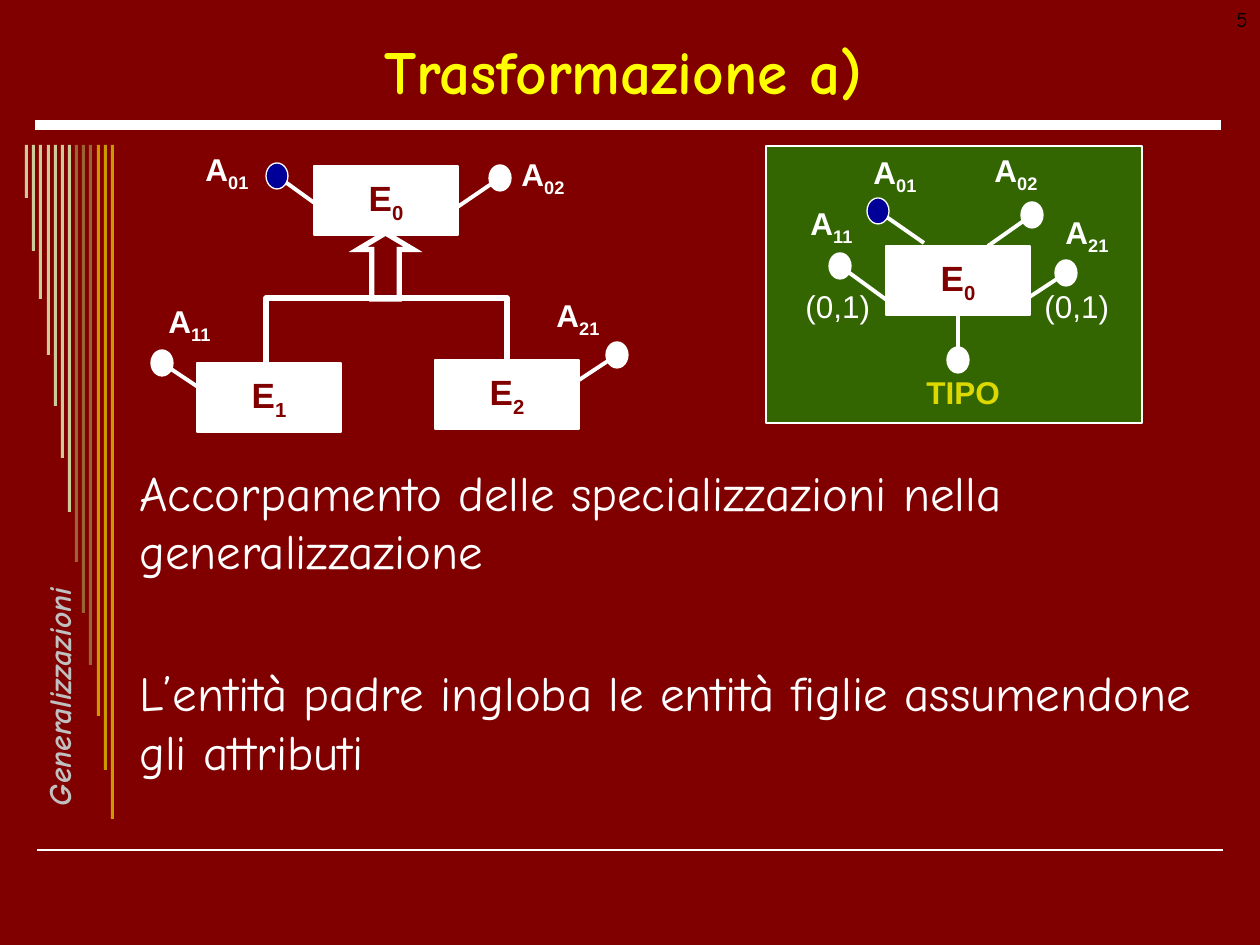
from lxml import etree
from pptx import Presentation
from pptx import util as u
from pptx.dml.color import RGBColor
from pptx.enum import shapes, text
from pptx.oxml import ns

PX = 914400 / 126
COLORS = {
    "ground": "800000", "white": "FFFFFF", "title": "FFFF00", "key": "000099",
    "result": "336600", "type": "DDD800", "section": "C0C0C0", "number": "000000",
    "sand": "CCCC99", "brown": "996633", "gold": "CC9900",
}
LEFT, CENTER, RIGHT = text.PP_ALIGN.LEFT, text.PP_ALIGN.CENTER, text.PP_ALIGN.RIGHT
TOP, MIDDLE = text.MSO_ANCHOR.TOP, text.MSO_ANCHOR.MIDDLE
PRESET = shapes.MSO_SHAPE


def emu(*lengths):
    return [u.Emu(round(length * PX)) for length in lengths]


def rgb(name):
    return RGBColor.from_string(COLORS[name])


def write(frame, content, font="Arial", size=18, color="white", bold=False,
          italic=False, align=LEFT, anchor=TOP, wrap=True, gap=0):
    """Fill a frame, one paragraph per line; "_" starts a subscript."""
    frame.word_wrap = wrap
    frame.vertical_anchor = anchor
    for index, line in enumerate(content.split("\n")):
        paragraph = frame.add_paragraph() if index else frame.paragraphs[0]
        paragraph.alignment = align
        if index:
            paragraph.space_before = u.Pt(gap)
        for level, part in enumerate(line.split("_")):
            run = paragraph.add_run()
            run.text = part
            run.font.name, run.font.size = font, u.Pt(size)
            run.font.bold, run.font.italic = bold, italic
            run.font.color.rgb = rgb(color)
            if level:
                run.font._element.set("baseline", "-25000")


class Diagram:
    def __init__(self, slide):
        self.slide = slide
        self.heading_font = "Comic Neue"
        self.dot_size = (22, 26)
        self.entity_size = (144, 69)
        slide.background.fill.solid()
        slide.background.fill.fore_color.rgb = rgb("ground")

    def style(self, shape, fill=None, line=None, width=0.75):
        shape.shadow.inherit = False
        if fill:
            shape.fill.solid()
            shape.fill.fore_color.rgb = rgb(fill)
        else:
            shape.fill.background()
        if line:
            shape.line.color.rgb = rgb(line)
            shape.line.width = u.Pt(width)
        else:
            shape.line.fill.background()
        return shape

    def shape(self, preset, box, **look):
        return self.style(self.slide.shapes.add_shape(preset, *emu(*box)), **look)

    def label(self, content, box, **form):
        caption = self.slide.shapes.add_textbox(*emu(*box))
        write(caption.text_frame, content, **form)
        return caption

    def heading(self, content, box, **form):
        return self.label(content, box, font=self.heading_font, **form)

    def line(self, start, end, width=2.25):
        connector = self.slide.shapes.add_connector(
            shapes.MSO_CONNECTOR.STRAIGHT, *emu(*start, *end))
        connector.line.color.rgb = rgb("white")
        connector.line.width = u.Pt(width)
        etree.SubElement(connector._element.spPr, ns.qn("a:effectLst"))
        return connector

    def entity(self, name, left, top):
        box = self.shape(PRESET.RECTANGLE, (left, top, *self.entity_size),
                         fill="white", line="white")
        write(box.text_frame, name, size=20, color="ground", bold=True,
              align=CENTER, anchor=MIDDLE, wrap=False)
        return box

    def attribute(self, name, center, tip, label_at, label_size=(93, 55),
                  fill="white", color="white"):
        """Draw a dot, its line to an entity and its name."""
        connector = self.line(tip, center)
        width, height = self.dot_size
        corner = (center[0] - width // 2, center[1] - height // 2)
        self.shape(PRESET.OVAL, (*corner, width, height), fill=fill, line="white")
        self.label(name, (*label_at, *label_size), color=color, bold=True)
        return connector

    def stripes(self):
        heights = (53, 106, 154, 210, 261, 313, 367, 417, 468, 520, 571, 625, 674)
        tones = ["sand"] * 7 + ["brown"] * 3 + ["gold"] * 3
        for index, (height, tone) in enumerate(zip(heights, tones)):
            left = 25 + round(index * 86 / 12)
            self.shape(PRESET.RECTANGLE, (left, 145, 3, height), fill=tone)

    def generalization(self, points):
        """Draw the hollow arrow and the branch to the child entities."""
        arrow = self.shape(PRESET.UP_ARROW, (358, 233, 55, 66), line="white", width=3)
        arrow.adjustments[0], arrow.adjustments[1] = 0.5, 0.3
        miter = etree.SubElement(arrow.line._get_or_add_ln(), ns.qn("a:miter"))
        miter.set("lim", "800000")
        builder = self.slide.shapes.build_freeform(*points[0], scale=PX)
        builder.add_line_segments(points[1:], close=False)
        self.style(builder.convert_to_shape(), line="white", width=3)


def main():
    deck = Presentation()
    deck.slide_width, deck.slide_height = emu(1260, 945)
    diagram = Diagram(deck.slides.add_slide(deck.slide_layouts[6]))

    diagram.line((37, 850), (1223, 850), width=1)
    diagram.line((35, 125), (1221, 125), width=6)
    diagram.stripes()
    section = diagram.heading("Generalizzazioni", (-95, 660, 287, 30), color="section",
                              bold=True, italic=True, wrap=False)
    section.rotation = 270
    diagram.heading("Trasformazione a)", (44, 26, 1160, 89), size=35, color="title",
                    bold=True, align=CENTER, anchor=MIDDLE)
    diagram.heading("Accorpamento delle specializzazioni nella generalizzazione\n"
                    "L’entità padre ingloba le entità figlie assumendone gli attributi",
                    (127, 456, 1108, 389), size=28, gap=47.4)

    diagram.shape(PRESET.RECTANGLE, (766, 146, 376, 277), fill="result", line="white")
    merged = diagram.entity("E_0", 886, 246)
    diagram.attribute("A_01", (878, 211), (924, 243), (861, 147), fill="key")
    diagram.attribute("A_02", (1032, 215), (988, 246), (982, 145))
    diagram.attribute("A_11", (840, 266), (888, 301), (798, 198))
    diagram.attribute("A_21", (1066, 273), (1022, 302), (1053, 207))
    kind = diagram.attribute("TIPO", (958, 360), (958, 315), (914, 367), (110, 50),
                             color="type")
    kind.begin_connect(merged, 2)
    for left in (793, 1032):
        diagram.label("(0,1)", (left, 281, 98, 50))

    diagram.entity("E_0", 314, 166)
    diagram.generalization([(266, 367), (266, 298), (507, 298), (507, 362)])
    diagram.entity("E_1", 197, 363)
    diagram.entity("E_2", 435, 360)
    diagram.attribute("A_01", (277, 176), (320, 207), (193, 144), fill="key")
    diagram.attribute("A_02", (500, 178), (456, 208), (509, 149))
    diagram.attribute("A_11", (162, 363), (207, 393), (156, 296))
    diagram.attribute("A_21", (617, 355), (573, 384), (544, 290))

    diagram.heading("5", (966, 0, 294, 63), size=12, color="number", align=RIGHT)
    deck.save("out.pptx")


if __name__ == "__main__":
    main()
